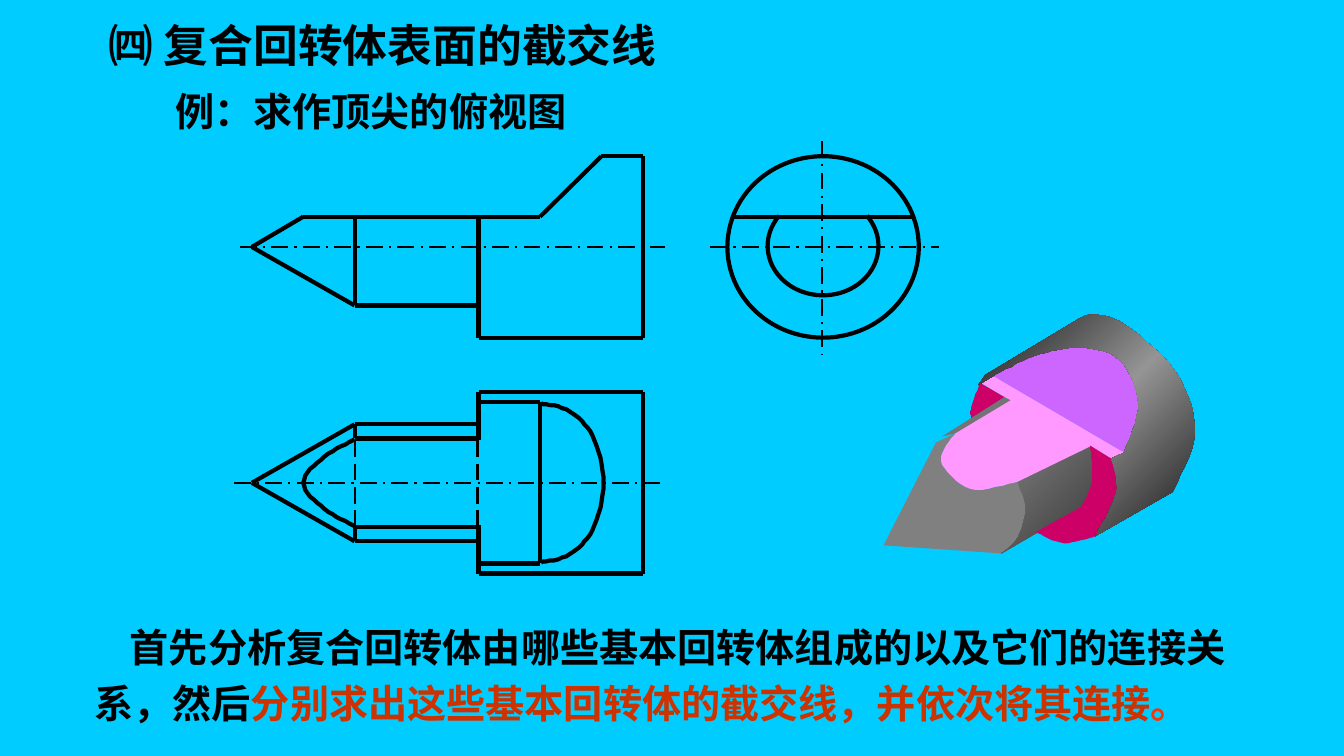
"""Builds a slide on the section lines of a compound solid of revolution."""
from copy import deepcopy

from lxml import etree
from pptx import Presentation
from pptx.dml.color import RGBColor
from pptx.enum.dml import MSO_LINE
from pptx.enum.shapes import MSO_CONNECTOR, MSO_SHAPE
from pptx.enum.text import MSO_ANCHOR, MSO_AUTO_SIZE, PP_ALIGN
from pptx.oxml.ns import qn
from pptx.util import Cm, Pt

STRAIGHT = MSO_CONNECTOR.STRAIGHT
OVAL, ARC = MSO_SHAPE.OVAL, MSO_SHAPE.ARC
DASH, CHAIN = MSO_LINE.LONG_DASH, MSO_LINE.LONG_DASH_DOT
MIDDLE, TOP = MSO_ANCHOR.MIDDLE, MSO_ANCHOR.TOP
LEFT, FIXED = PP_ALIGN.LEFT, MSO_AUTO_SIZE.NONE
FONT = "Noto Sans CJK SC"
BLACK = "000000"
color = RGBColor.from_string


def span(*marks):
    """Turn hundredths of an inch into lengths."""
    return [Cm(2.54 * mark / 100) for mark in marks]


def smooth(*knots, steps=8):
    """Return points on a smooth curve through the knots."""
    padded = [knots[0], *knots, knots[-1]]
    points = [knots[0]]
    for a, b, c, d in zip(padded, padded[1:], padded[2:], padded[3:]):
        for step in range(1, steps + 1):
            t = step / steps
            points.append(tuple(
                q + t * (r - p) / 2 + t**2 * (p - 2.5 * q + 2 * r - s / 2)
                + t**3 * (3 * q - 3 * r + s - p) / 2
                for p, q, r, s in zip(a, b, c, d)))
    return points


deck = Presentation()
deck.slide_width, deck.slide_height = span(1334, 750)
slide = deck.slides.add_slide(deck.slide_layouts[5])
shapes = slide.shapes
slide.background.fill.solid()
slide.background.fill.fore_color.rgb = color("00CCFF")

title = shapes.title
title.left, title.top, title.width, title.height = span(98, 12, 590, 64)
task = shapes.add_textbox(*span(164, 81, 408, 57))
note = shapes.add_textbox(*span(84, 604, 1166, 122))
texts = [
    (title, 32, MIDDLE, True, [("㈣ 复合回转体表面的截交线", BLACK)]),
    (task, 28, MIDDLE, False, [("例：求作顶尖的俯视图", BLACK)]),
    (note, 28, TOP, True, [
        ("首先分析复合回转体由哪些基本回转体组成的以及它们的连接关系，然后", BLACK),
        ("分别求出这些基本回转体的截交线，并依次将其连接", "CC3300"),
        ("。", "FF3300")]),
]
for box, size, anchor, wrap, runs in texts:
    frame = box.text_frame
    frame.auto_size = FIXED
    frame.word_wrap = wrap
    frame.vertical_anchor = anchor
    para = frame.paragraphs[0]
    para.alignment = LEFT
    for words, tint in runs:
        run = para.add_run()
        run.text = words
        run.font.size = Pt(size)
        run.font.bold = True
        run.font.name = FONT
        run.font.color.rgb = color(tint)
        east = etree.SubElement(run.font._element, qn("a:ea"))
        east.set("typeface", FONT)
lead = note.text_frame.paragraphs[0]
lead.line_spacing = 1.2
lead._p.get_or_add_pPr().set("indent", str(Cm(0.89)))

axis = 479
edges = [
    [(352, 303), (250, 245), (301, 215), (536, 215), (597, 155),
     (638, 155), (638, 335), (475, 335), (475, 215)],
    [(475, 303), (352, 303), (352, 215)],
    [(727, 215), (907, 215)],
]
half = [
    [(250, 0), (352, 58), (475, 58)],
    [(475, 42), (475, 90), (638, 90), (638, 0)],
    [(475, 80), (536, 80), (536, 0)],
    [(475, 44), (352, 44), (352, 58)],
]
for sign in (-1, 1):
    for chain in half:
        edges.append([(x, axis + sign * y) for x, y in chain])
centers = [[(232, axis), (656, axis)], [(238, 245), (660, 245)],
           [(816, 140), (816, 351)], [(705, 245), (932, 245)]]
hidden = [[(x, 437), (x, 525)] for x in (352, 474)]
for group, width, dash in [(edges, 3, None), (centers, 1.5, CHAIN),
                           (hidden, 1.5, DASH)]:
    for chain in group:
        for start, end in zip(chain, chain[1:]):
            line = shapes.add_connector(STRAIGHT, *span(*start, *end))
            line.line.color.rgb = color(BLACK)
            line.line.width = Pt(width)
            if dash:
                line.line.dash_style = dash
            etree.SubElement(line._element.spPr, qn("a:effectLst"))

rim = shapes.add_shape(OVAL, *span(722, 155, 190, 180))
neck = shapes.add_shape(ARC, *span(762, 195, 110, 98))
neck.adjustments[0] = 325.4 * 0.6
neck.adjustments[1] = 214.6 * 0.6
rounds = [rim, neck]
for knots in ([(537, 400), (565, 408), (588, 432), (599, axis)],
              [(352, 436), (322, 453), (301, axis)]):
    lower = [(x, 2 * axis - y) for x, y in knots[-2::-1]]
    first, *rest = smooth(*knots, *lower)
    pen = shapes.build_freeform(*first, scale=span(1)[0])
    pen.add_line_segments(rest, close=False)
    rounds.append(pen.convert_to_shape())
for shape in rounds:
    shape.shadow.inherit = False
    shape.fill.background()
    shape.line.color.rgb = color(BLACK)
    shape.line.width = Pt(3)

base = smooth((1010, 478), (1018, 505), (1009, 535), (994, 549))
lip = smooth((1010, 478), (963, 485), (934, 457), (948, 430))
bore = smooth((1082, 442), (1084, 477), (1073, 503))
arch = smooth((986, 373), (1027, 353), (1073, 345), (1111, 357),
              (1130, 400), (1116, 449))
brim = smooth((1103, 455), (1108, 489), (1087, 532))
foot = smooth((1087, 532), (1056, 539), (1028, 528))
back = smooth((1073, 315), (1089, 312), (1121, 325), (1169, 372),
              (1186, 430), (1164, 488))
solid = [
    (["808080"], base + [(877, 541), (929, 439)] + lip[::-1]),
    (["7E7E7E", "3A3A3A"], base + bore[::-1]),
    (["FF99FF"], lip + [(1002, 397), (972, 379), (986, 373), (1116, 449),
                        (1103, 455), (1082, 443)]),
    (["CC66FF"], arch),
    (["CC0066"], brim + foot + bore[::-1]),
    (["CC0066"], smooth((964, 415), (964, 404), (973, 380)) + [(997, 394)]),
    (["747474"], [(948, 430), (1003, 397), (997, 394), (935, 433)]),
    (["1A1A1A", "949494", "1A1A1A"],
     arch[::-1] + [(971, 382), (978, 372)] + back + brim[::-1]),
]
for tints, (first, *rest) in solid:
    pen = shapes.build_freeform(*first, scale=span(1)[0])
    pen.add_line_segments(rest)
    face = pen.convert_to_shape()
    face.shadow.inherit = False
    face.line.fill.background()
    if len(tints) == 1:
        face.fill.solid()
        face.fill.fore_color.rgb = color(tints[0])
        continue
    face.fill.gradient()
    face.fill.gradient_angle = 315
    stops = face._element.xpath(".//a:gsLst")[0]
    while len(stops) < len(tints):
        stops.append(deepcopy(stops[0]))
    for i, stop in enumerate(face.fill.gradient_stops):
        stop.position = i / (len(tints) - 1)
        stop.color.rgb = color(tints[i])

deck.save("out.pptx")
